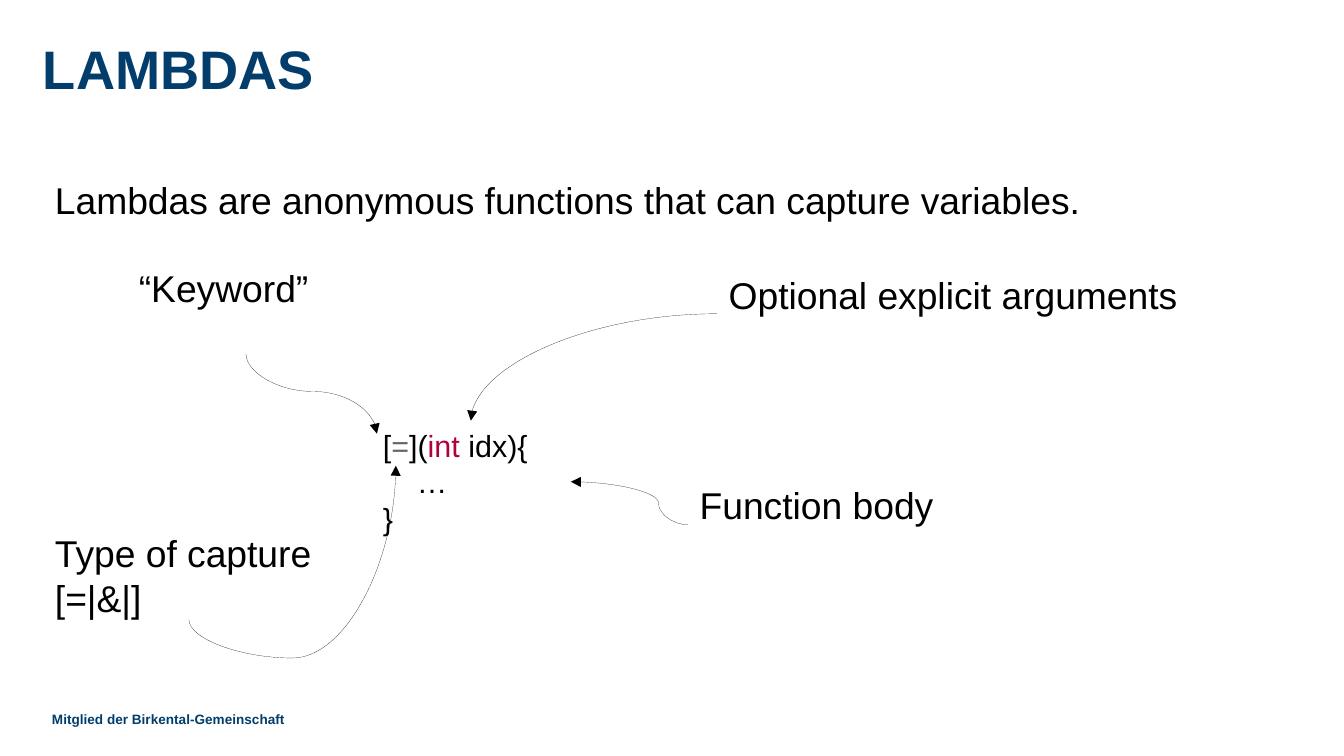
from lxml import etree
from pptx import Presentation, util as u
from pptx.dml import color
from pptx.enum import shapes
from pptx.oxml import ns

SCALE = 914400 / 122
NAVY, BLACK, GREY, CRIMSON = "023D6B", "000000", "666666", "B00040"


def px(length):
    return u.Emu(round(length * SCALE))


def rgb(value):
    return color.RGBColor.from_string(value)


class SlideBuilder:
    font = "Arial"

    def __init__(self, presentation):
        self.slide = presentation.slides.add_slide(presentation.slide_layouts[6])

    def text(self, box, paragraphs, size=22, ink=BLACK, bold=False,
             margins=(12, 6), indents=()):
        shape = self.slide.shapes.add_textbox(*map(px, box))
        frame = shape.text_frame
        side, edge = map(px, margins)
        settings = {"word_wrap": True, "margin_left": side, "margin_right": side,
                    "margin_top": edge, "margin_bottom": edge}
        for name, value in settings.items():
            setattr(frame, name, value)
        for index, runs in enumerate(paragraphs):
            paragraph = frame.add_paragraph() if index else frame.paragraphs[0]
            if index < len(indents):
                paragraph._p.get_or_add_pPr().set("marL", str(px(indents[index])))
            for words, run_ink in runs:
                run = paragraph.add_run()
                run.text = words
                formats = {"name": self.font, "size": u.Pt(size), "bold": bold}
                for name, value in formats.items():
                    setattr(run.font, name, value)
                run.font.color.rgb = rgb(run_ink or ink)

    def label(self, box, words, **style):
        self.text(box, [[(words, None)]], **style)

    def curved_arrow(self, start, end, quarter_turns, bend=None):
        center_x = (start[0] + end[0]) / 2
        center_y = (start[1] + end[1]) / 2
        x, y = start[0] - center_x, start[1] - center_y
        for _ in range(quarter_turns):
            x, y = y, -x
        points = (center_x + x, center_y + y, center_x - x, center_y - y)
        connector = self.slide.shapes.add_connector(
            shapes.MSO_CONNECTOR.CURVE, *map(px, points))
        connector.line.color.rgb = rgb(BLACK)
        properties = connector._element.spPr
        properties.find(ns.qn("a:xfrm")).set("rot", str(quarter_turns * 5400000))
        geometry = properties.find(ns.qn("a:prstGeom"))
        if bend is None:
            geometry.set("prst", "curvedConnector2")
        else:
            etree.SubElement(geometry.find(ns.qn("a:avLst")), ns.qn("a:gd"),
                             name="adj1", fmla=f"val {bend * 1000}")
        line = properties.find(ns.qn("a:ln"))
        line.set("w", "0")
        etree.SubElement(line, ns.qn("a:tailEnd"), type="triangle")
        etree.SubElement(properties, ns.qn("a:effectLst"))


def main():
    presentation = Presentation()
    presentation.slide_width = u.Inches(11.02)
    presentation.slide_height = u.Inches(6.2)
    builder = SlideBuilder(presentation)

    builder.label((40, 705, 342, 39), "Mitglied der Birkental-Gemeinschaft",
                  size=8, ink=NAVY, bold=True)
    builder.label((43, 35, 1263, 122), "LAMBDAS", size=32, ink=NAVY, bold=True,
                  margins=(0, 0))

    lambda_code = [
        [("[", BLACK), ("=", GREY), ("](", BLACK), ("int", CRIMSON), (" idx){", BLACK)],
        [("…", BLACK)],
        [("}", BLACK)],
    ]
    builder.text((371, 421, 200, 122), lambda_code, size=18, indents=(0, 34, 0))

    labels = [
        ((43, 171, 1071, 95), "Lambdas are anonymous functions that can capture variables."),
        ((127, 259, 239, 95), "“Keyword”"),
        ((43, 525, 292, 95), "Type of capture [=|&|]"),
        ((717, 266, 490, 95), "Optional explicit arguments"),
        ((688, 477, 300, 95), "Function body"),
    ]
    for box, words in labels:
        builder.label(box, words)

    arrows = [
        ((246, 354), (377, 434), 3, 47),
        ((189, 620), (396, 466), 1, -25),
        ((717, 314), (471, 421), 2, None),
        ((688, 525), (571, 482), 2, 25),
    ]
    for arrow in arrows:
        builder.curved_arrow(*arrow)

    presentation.save("out.pptx")


if __name__ == "__main__":
    main()
